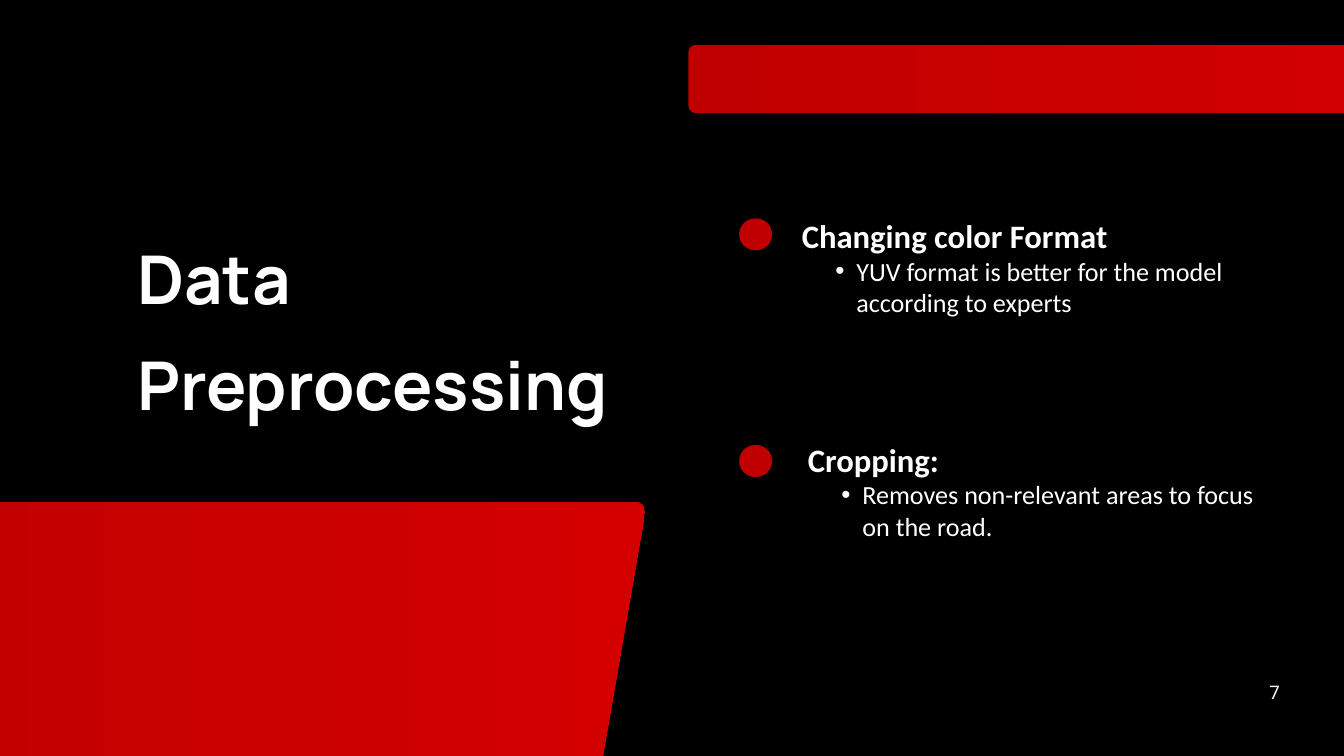
"""Build the Data Preprocessing slide."""
from lxml import etree
from pptx import Presentation
from pptx.dml.color import RGBColor
from pptx.enum.shapes import MSO_SHAPE
from pptx.enum.text import MSO_AUTO_SIZE, PP_ALIGN
from pptx.oxml.ns import qn
from pptx.util import Pt

ROUNDED = MSO_SHAPE.ROUNDED_RECTANGLE
GROW = MSO_AUTO_SIZE.SHAPE_TO_FIT_TEXT
LEFT, CENTER = PP_ALIGN.LEFT, PP_ALIGN.CENTER
BLACK, WHITE, RED, BRIGHT_RED = "000000", "FFFFFF", "C00000", "D40000"


def color(value):
    return RGBColor.from_string(value)


def add_text(bounds, lines, inset=True, wrap=True):
    box = page.shapes.add_textbox(*map(Pt, bounds))
    frame = box.text_frame
    frame.word_wrap = wrap
    frame.auto_size = GROW
    if not inset:
        for side in ("left", "top", "right", "bottom"):
            setattr(frame, f"margin_{side}", 0)
    for index, (words, layout, font) in enumerate(lines):
        para = frame.add_paragraph() if index else frame.paragraphs[0]
        for name, value in layout.items():
            setattr(para, name, value)
        if para.level:
            properties = para._p.get_or_add_pPr()
            properties.set("marL", str(Pt(58.5)))
            properties.set("indent", str(Pt(-22.5)))
            etree.SubElement(properties, qn("a:buFont")).set("typeface", "Arial")
            etree.SubElement(properties, qn("a:buChar")).set("char", "•")
        span = para.add_run()
        span.text = words
        span.font.color.rgb = color(WHITE)
        for name, value in font.items():
            setattr(span.font, name, value)


deck = Presentation()
deck.slide_width, deck.slide_height = Pt(1440), Pt(810)
page = deck.slides.add_slide(deck.slide_layouts[6])
page.background.fill.solid()
page.background.fill.fore_color.rgb = color(BLACK)

title_font = {"name": "Manrope", "size": Pt(72), "bold": True}
add_text((147, 228, 591, 220),
         [("Data Preprocessing", {"line_spacing": Pt(112.9)}, title_font)], inset=False)

for top in (234, 476.8):
    dot = page.shapes.add_shape(ROUNDED, Pt(792), Pt(top), Pt(35.3), Pt(34.2))
    dot.adjustments[0] = 0.5
    dot.fill.solid()
    dot.fill.fore_color.rgb = color(RED)
    dot.line.fill.background()
    dot.shadow.inherit = False

corners = [(-79.5, 537.8), (693.1, 537.8), (632.5, 887), (-140, 887)]
radius = 15
steps = 8
outline = []
for index, (x, y) in enumerate(corners):
    ends = []
    for near_x, near_y in (corners[index - 1], corners[(index + 1) % 4]):
        share = radius / ((near_x - x) ** 2 + (near_y - y) ** 2) ** 0.5
        ends.append((x + share * (near_x - x), y + share * (near_y - y)))
    (start_x, start_y), (end_x, end_y) = ends
    for step in range(steps + 1):
        t = step / steps
        before, middle, after = (1 - t) ** 2, 2 * t * (1 - t), t ** 2
        outline.append((Pt(before * start_x + middle * x + after * end_x),
                        Pt(before * start_y + middle * y + after * end_y)))
builder = page.shapes.build_freeform(*outline[0])
builder.add_line_segments(outline[1:], close=True)
slanted_panel = builder.convert_to_shape()

top_bar = page.shapes.add_shape(ROUNDED, Pt(737.5), Pt(48), Pt(807.5), Pt(73.2))
top_bar.adjustments[0] = 0.11

for panel in (slanted_panel, top_bar):
    panel.fill.gradient()
    panel.fill.gradient_angle = 0
    for stop, position, value in zip(panel.fill.gradient_stops, (0, 1), (RED, BRIGHT_RED)):
        stop.position = position
        stop.color.rgb = color(value)
    panel.line.fill.background()
    panel.shadow.inherit = False

add_text((1360, 725, 10, 26.6),
         [("7", {"alignment": CENTER, "line_spacing": Pt(28)},
           {"name": "Roboto", "size": Pt(20)})], inset=False, wrap=False)

heading_font = {"name": "Calibri", "size": Pt(35), "bold": True}
detail_font = {"name": "Calibri", "size": Pt(28), "bold": False}
topics = [
    ((858.5, 467.5, 504, 117.4), "Cropping:",
     "Removes non-relevant areas to focus on the road."),
    ((852, 228, 579, 117.4), "Changing color Format",
     "YUV format is better for the model according to experts"),
]
for bounds, heading, detail in topics:
    add_text(bounds, [(heading, {"alignment": LEFT}, heading_font),
                      (detail, {"alignment": LEFT, "level": 1}, detail_font)])

deck.save("out.pptx")
